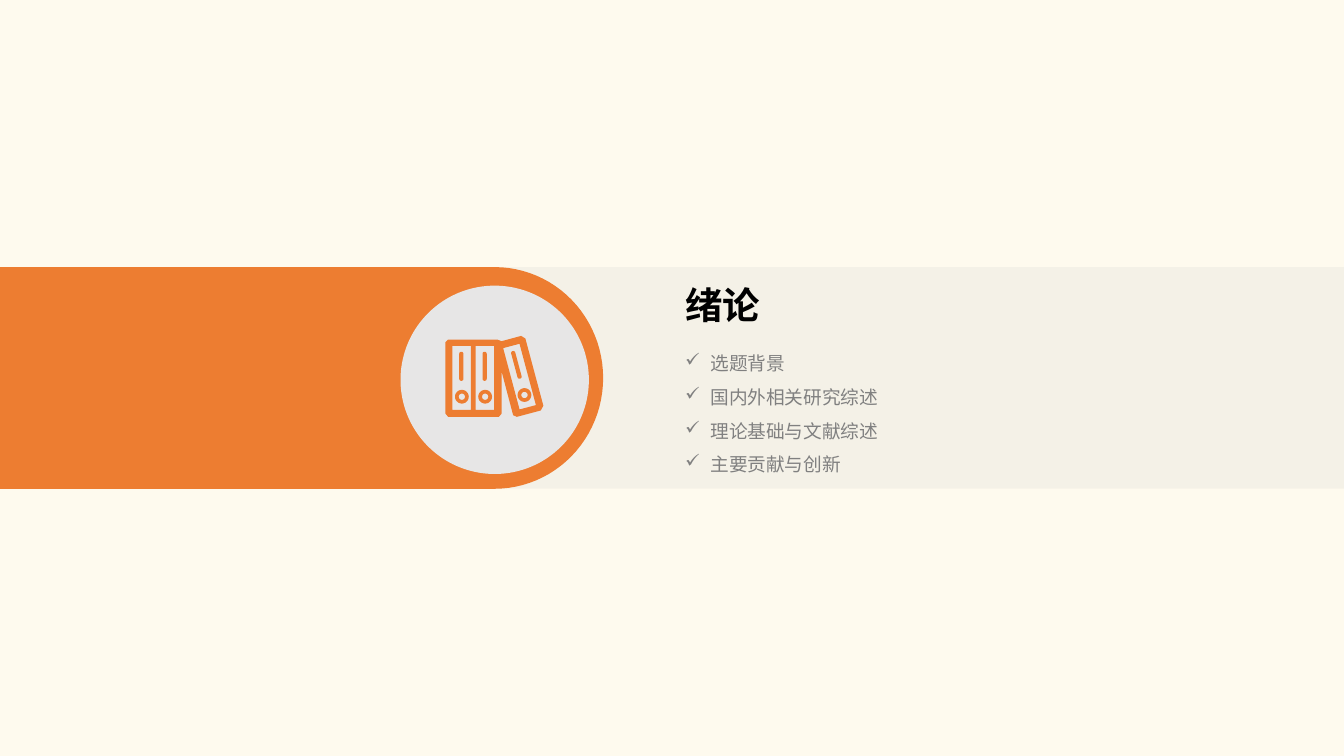
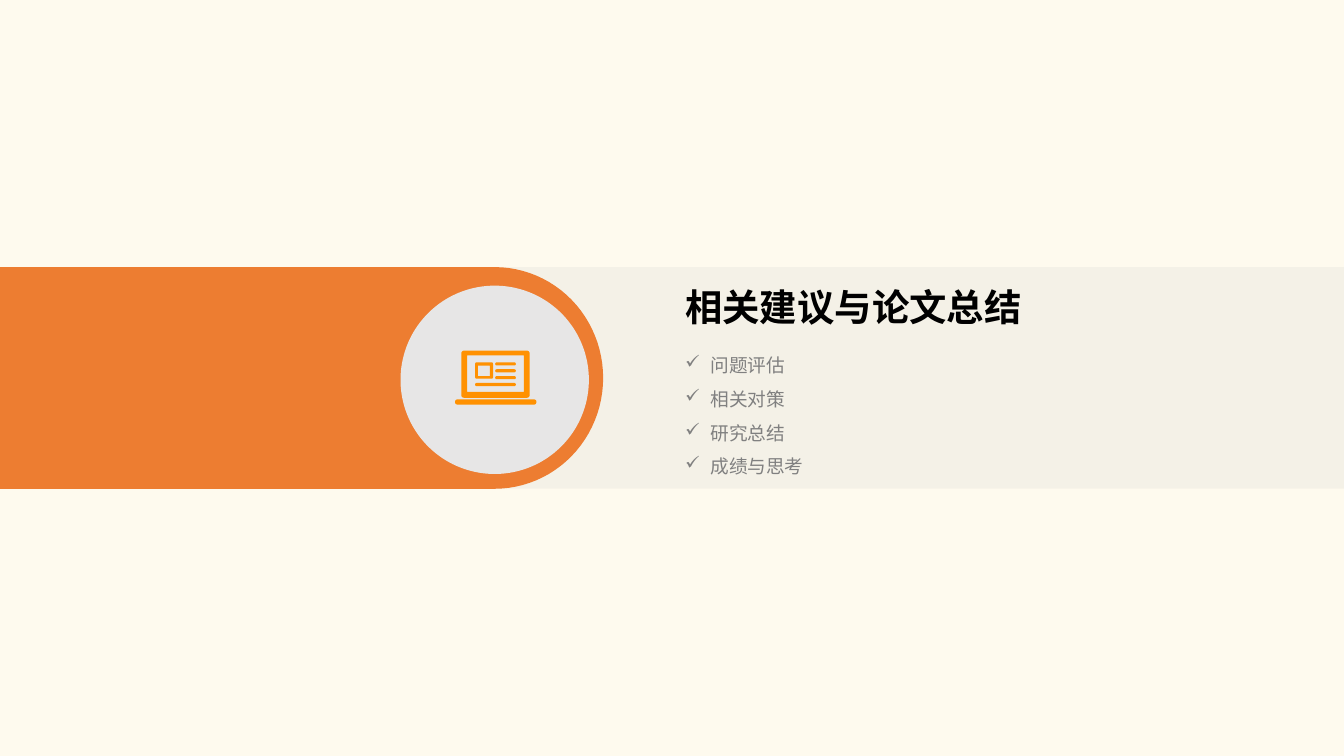
from math import cos, sin, pi, radians

from pptx import Presentation
from pptx.dml.color import RGBColor as Rgb
from pptx.enum.shapes import MSO_SHAPE as Kind
from pptx.enum.text import MSO_AUTO_SIZE as Fit
from pptx.oxml.ns import qn
from pptx.util import Cm, Pt
from lxml.etree import SubElement as Sub

# Shared look
CREAM, GREY, DISC = "FEFAEE", "D0CECE", "E7E6E6"
ORANGE, AMBER = "ED7D31", "FF9101"
TITLE = {"size": Pt(20), "bold": True}
ITEM = {"size": Pt(10)}
BAND_TOP, BAND_H = 5.05, 4.19
TEXT_X = 12.7


# Basic elements
def paint(fill, tone, alpha=None):
    fill.solid()
    fill.fore_color.rgb = Rgb.from_string(tone)
    if alpha is not None:
        node = fill._xPr.find(qn("a:solidFill"))[0]
        Sub(node, qn("a:alpha"), val=str(alpha * 1000))


def finish(shape, tone, alpha=None):
    shape.shadow.inherit = False
    shape.line.fill.background()
    paint(shape.fill, tone, alpha)


def block(slide, kind, area, tone, alpha=None):
    shape = slide.shapes.add_shape(kind, *map(Cm, area))
    finish(shape, tone, alpha)


def outline(slide, rings, tone):
    """Fill closed rings of points; a ring inside another cuts a hole."""
    rings = [[(Cm(x), Cm(y)) for x, y in ring] for ring in rings]
    pen = slide.shapes.build_freeform(*rings[0][0], scale=1.0)
    pen.add_line_segments(rings[0][1:], close=True)
    for ring in rings[1:]:
        pen.move_to(*ring[0])
        pen.add_line_segments(ring[1:], close=True)
    finish(pen.convert_to_shape(), tone)


def textbox(slide, area, lines, style, font, tone, bullet=None):
    box = slide.shapes.add_textbox(*map(Cm, area))
    frame = box.text_frame
    frame.word_wrap = bullet is None
    frame.auto_size = Fit.SHAPE_TO_FIT_TEXT
    for i, line in enumerate(lines):
        para = frame.add_paragraph() if i else frame.paragraphs[0]
        if bullet:
            para.line_spacing = 1.5
            props = para._p.get_or_add_pPr()
            props.set("marL", str(Cm(0.48)))
            props.set("indent", str(-Cm(0.48)))
            Sub(props, qn("a:buChar"), char=bullet)
        run = para.add_run()
        run.text = line
        for key, value in {**style, "name": font}.items():
            setattr(run.font, key, value)
        run.font.color.rgb = Rgb.from_string(tone)


# Rings of points
def arc(x, y, rx, ry, start, end, steps):
    turns = [start + (end - start) * i / steps for i in range(steps + 1)]
    return [(x + rx * cos(t), y + ry * sin(t)) for t in turns]


def disc(x, y, r):
    return arc(x, y, r, r, 0, 2 * pi, 24)[:-1]


def panel(x, y, w, h, r=0.0):
    """Rectangle with corners rounded by r."""
    if not r:
        return [(x, y), (x + w, y), (x + w, y + h), (x, y + h)]
    mids = [(x + w - r, y + h - r), (x + r, y + h - r),
            (x + r, y + r), (x + w - r, y + r)]
    return [p for i, (a, b) in enumerate(mids)
            for p in arc(a, b, r, r, i * pi / 2, (i + 1) * pi / 2, 6)]


def tilt(ring, x, y, angle):
    """Turn a ring about its origin and move it to x, y."""
    c, s = cos(radians(angle)), sin(radians(angle))
    return [(x + a * c + b * s, y - a * s + b * c) for a, b in ring]


# Icons
def binders(slide):
    rings = [[(8.42, 6.47), (8.47, 6.42), (9.4, 6.42), (9.48, 6.45),
              (9.85, 6.35), (9.93, 6.4), (10.27, 7.67), (10.22, 7.76),
              (9.77, 7.88), (9.7, 7.85), (9.48, 7.02), (9.48, 7.82),
              (9.43, 7.88), (8.47, 7.88), (8.42, 7.82)]]
    for x in (8.55, 8.99):
        rings += [panel(x, 6.54, 0.35, 1.21),
                  panel(x + 0.13, 6.65, 0.08, 0.55, 0.04),
                  disc(x + 0.18, 7.5, 0.13), disc(x + 0.18, 7.5, 0.06)]
    leaning = [panel(-0.16, -0.6, 0.32, 1.2),
               panel(-0.04, -0.5, 0.08, 0.54, 0.04),
               disc(0, 0.36, 0.13), disc(0, 0.36, 0.06)]
    rings += [tilt(ring, 9.82, 7.12, 15) for ring in leaning]
    outline(slide, rings, ORANGE)


def laptop(slide):
    rings = [panel(8.72, 6.63, 1.29, 0.89, 0.05),
             panel(8.83, 6.72, 1.07, 0.69),
             panel(8.98, 6.85, 0.34, 0.31, 0.03),
             panel(9.03, 6.91, 0.23, 0.2),
             panel(8.6, 7.55, 1.54, 0.1, 0.05)]
    for i, x in enumerate((9.36, 9.36, 9.36, 8.98)):
        rings.append(panel(x, 6.85 + 0.13 * i, 9.75 - x, 0.06, 0.03))
    outline(slide, rings, AMBER)


# Section slide
def section(deck, icon, font, title, width, top, items, span):
    slide = deck.slides.add_slide(deck.slide_layouts[6])
    paint(slide.background.fill, CREAM)
    block(slide, Kind.RECTANGLE, (4.62, BAND_TOP, 20.78, BAND_H), GREY, 20)
    half = BAND_H / 2
    cap = arc(9.35, BAND_TOP + half, 2.05, half, -pi / 2, pi / 2, 48)
    outline(slide, [[(0, BAND_TOP), *cap, (0, BAND_TOP + BAND_H)]], ORANGE)
    block(slide, Kind.OVAL, (7.57, 5.4, 3.56, 3.56), DISC)
    icon(slide)
    textbox(slide, (TEXT_X, top + 1.11, span, 2.82), items, ITEM, font,
            "808080", "✓")
    textbox(slide, (TEXT_X, top, width, 1.11), [title], TITLE, font, "000000")


def main():
    deck = Presentation()
    deck.slide_width, deck.slide_height = Cm(25.4), Cm(14.29)
    section(deck, binders, "Arial", "绪论", 2.01, 5.21,
            ["选题背景", "国内外相关研究综述", "理论基础与文献综述",
             "主要贡献与创新"], 4.19)
    section(deck, laptop, "Roboto Condensed", "相关建议与论文总结", 8.2, 5.25,
            ["问题评估", "相关对策", "研究总结", "成绩与思考"], 2.77)
    deck.save("out.pptx")


if __name__ == "__main__":
    main()
